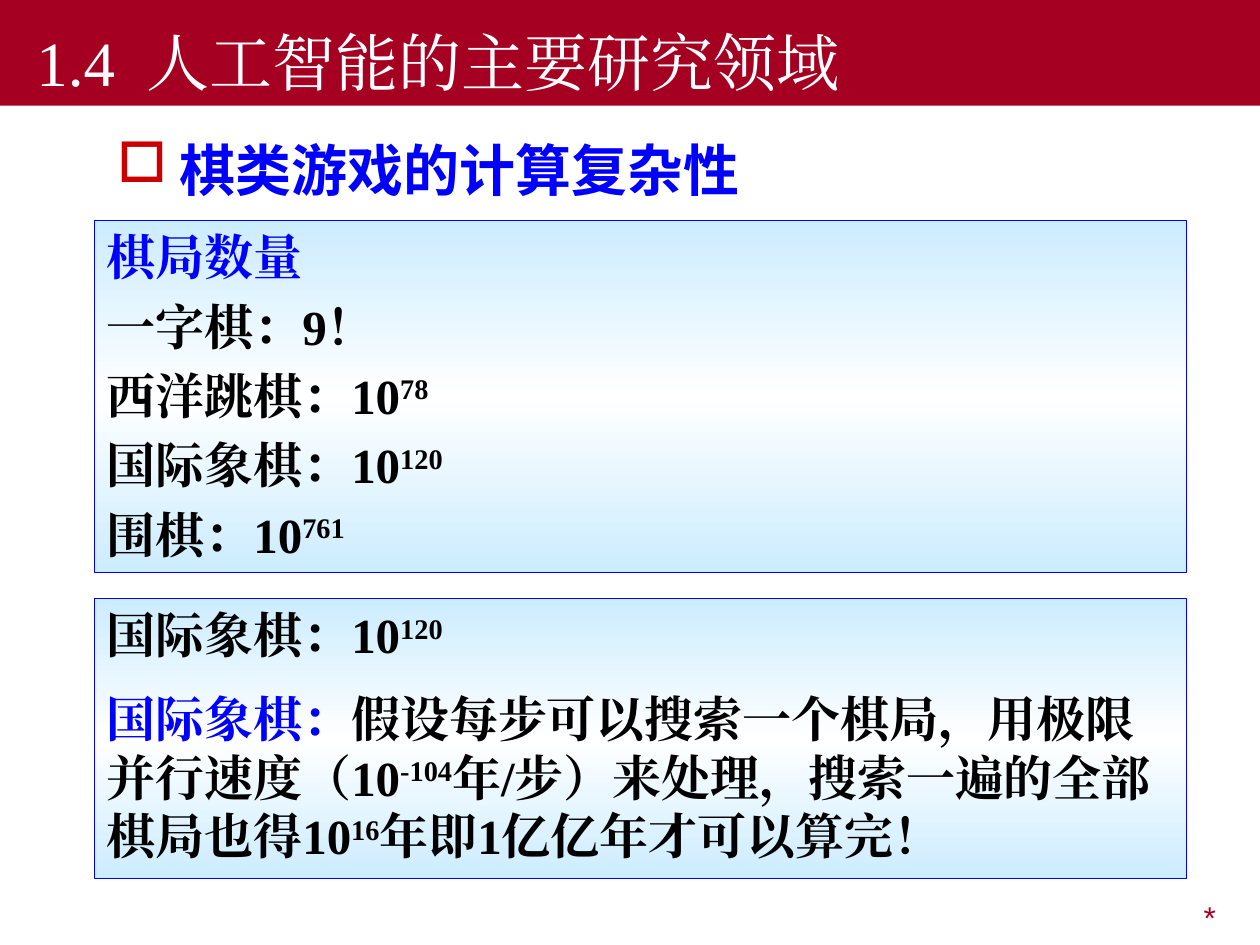
from copy import deepcopy

from lxml import etree
from pptx import Presentation
from pptx.dml.color import RGBColor
from pptx.enum.shapes import MSO_SHAPE
from pptx.enum.text import MSO_ANCHOR, MSO_AUTO_SIZE, PP_ALIGN
from pptx.oxml.ns import qn
from pptx.util import Cm, Pt

RECTANGLE = MSO_SHAPE.RECTANGLE
TOP, BOTTOM = MSO_ANCHOR.TOP, MSO_ANCHOR.BOTTOM
NO_AUTOFIT = MSO_AUTO_SIZE.NONE
LEFT, RIGHT, JUSTIFY = PP_ALIGN.LEFT, PP_ALIGN.RIGHT, PP_ALIGN.JUSTIFY

CRIMSON = RGBColor(0xA5, 0x00, 0x21)
RED = RGBColor(0xCC, 0x00, 0x00)
BLUE = RGBColor(0x00, 0x00, 0xFF)
PALE_BLUE = RGBColor(0xCC, 0xEC, 0xFF)
BLACK = RGBColor(0x00, 0x00, 0x00)
WHITE = RGBColor(0xFF, 0xFF, 0xFF)
SERIF = "Times New Roman"
CJK = "Noto Sans CJK SC"


def add_span(para, text, size=28, font=SERIF, color=BLACK, bold=True, raised=False):
    span = para.add_run()
    span.text = text
    span.font.size = Pt(size)
    span.font.name = font
    span.font.bold = bold
    span.font.color.rgb = color
    properties = span.font._element
    etree.SubElement(properties, qn("a:ea")).set("typeface", font)
    if raised:
        properties.set("baseline", "30000")


deck = Presentation()
deck.slide_width, deck.slide_height = Cm(25.4), Cm(19.05)
page = deck.slides.add_slide(deck.slide_layouts[5])

title = page.shapes.title
title.left, title.top, title.width, title.height = Cm(0), Cm(0), Cm(25.4), Cm(2.13)
title.fill.solid()
title.fill.fore_color.rgb = CRIMSON
title.text_frame.auto_size = NO_AUTOFIT
title.text_frame.vertical_anchor = BOTTOM
para = title.text_frame.paragraphs[0]
para.alignment = LEFT
para._p.get_or_add_pPr().set("indent", str(Cm(0.48)))
add_span(para, "1.4  人工智能的主要研究领域", size=36, color=WHITE, bold=False)

heading = page.shapes.add_textbox(Cm(2.11), Cm(2.34), Cm(20.75), Cm(1.7))
heading.text_frame.word_wrap = True
para = heading.text_frame.paragraphs[0]
para.alignment = JUSTIFY
para.line_spacing = 1.2
properties = para._p.get_or_add_pPr()
properties.set("marL", str(Cm(0.51)))
properties.set("indent", str(-Cm(0.51)))
bullet_color = etree.SubElement(properties, qn("a:buClr"))
etree.SubElement(bullet_color, qn("a:srgbClr")).set("val", str(RED))
etree.SubElement(properties, qn("a:buChar")).set("char", "□")
add_span(para, " ", size=32, font=CJK)
add_span(para, "棋类游戏的计算复杂性", size=32, font=CJK, color=BLUE)

RAISED = {"raised": True}
HIGHLIGHT = {"color": BLUE}
panels = [
    (4.45, 7.09, 6, [
        [("棋局数量", HIGHLIGHT)],
        [("一字棋：9！", {})],
        [("西洋跳棋：10", {}), ("78", RAISED)],
        [("国际象棋：10", {}), ("120", RAISED)],
        [("围棋：10", {}), ("761", RAISED)],
    ]),
    (12.07, 5.64, 14, [
        [("国际象棋：10", {}), ("120", RAISED)],
        [
            ("国际象棋：", HIGHLIGHT),
            ("假设每步可以搜索一个棋局，用极限并行速度（10", {}),
            ("-104", RAISED),
            ("年/步）来处理，搜索一遍的全部棋局也得10", {}),
            ("16", RAISED),
            ("年即1亿亿年才可以算完！", {}),
        ],
    ]),
]
for top, height, gap, lines in panels:
    panel = page.shapes.add_shape(RECTANGLE, Cm(1.9), Cm(top), Cm(22.02), Cm(height))
    panel.shadow.inherit = False
    panel.line.color.rgb = BLUE
    panel.line.width = Pt(0.75)
    panel.fill.gradient()
    panel.fill.gradient_angle = 270
    stops = panel._element.spPr.find(qn("a:gradFill")).find(qn("a:gsLst"))
    stops.insert(1, deepcopy(stops[0]))
    for stop, position, color in zip(
        panel.fill.gradient_stops, (0, 0.5, 1), (PALE_BLUE, WHITE, PALE_BLUE)
    ):
        stop.position = position
        stop.color.rgb = color

    frame = panel.text_frame
    frame.word_wrap = True
    frame.vertical_anchor = TOP
    for index, spans in enumerate(lines):
        para = frame.add_paragraph() if index else frame.paragraphs[0]
        para.alignment = LEFT
        para.space_before = Pt(gap if index else 0)
        for text, style in spans:
            add_span(para, text, **style)

marker = page.shapes.add_textbox(Cm(19.25), Cm(17.98), Cm(5.51), Cm(0.99))
marker.text_frame.word_wrap = True
para = marker.text_frame.paragraphs[0]
para.alignment = RIGHT
add_span(para, "*", size=18, font="Arial", color=CRIMSON, bold=False)

deck.save("out.pptx")
